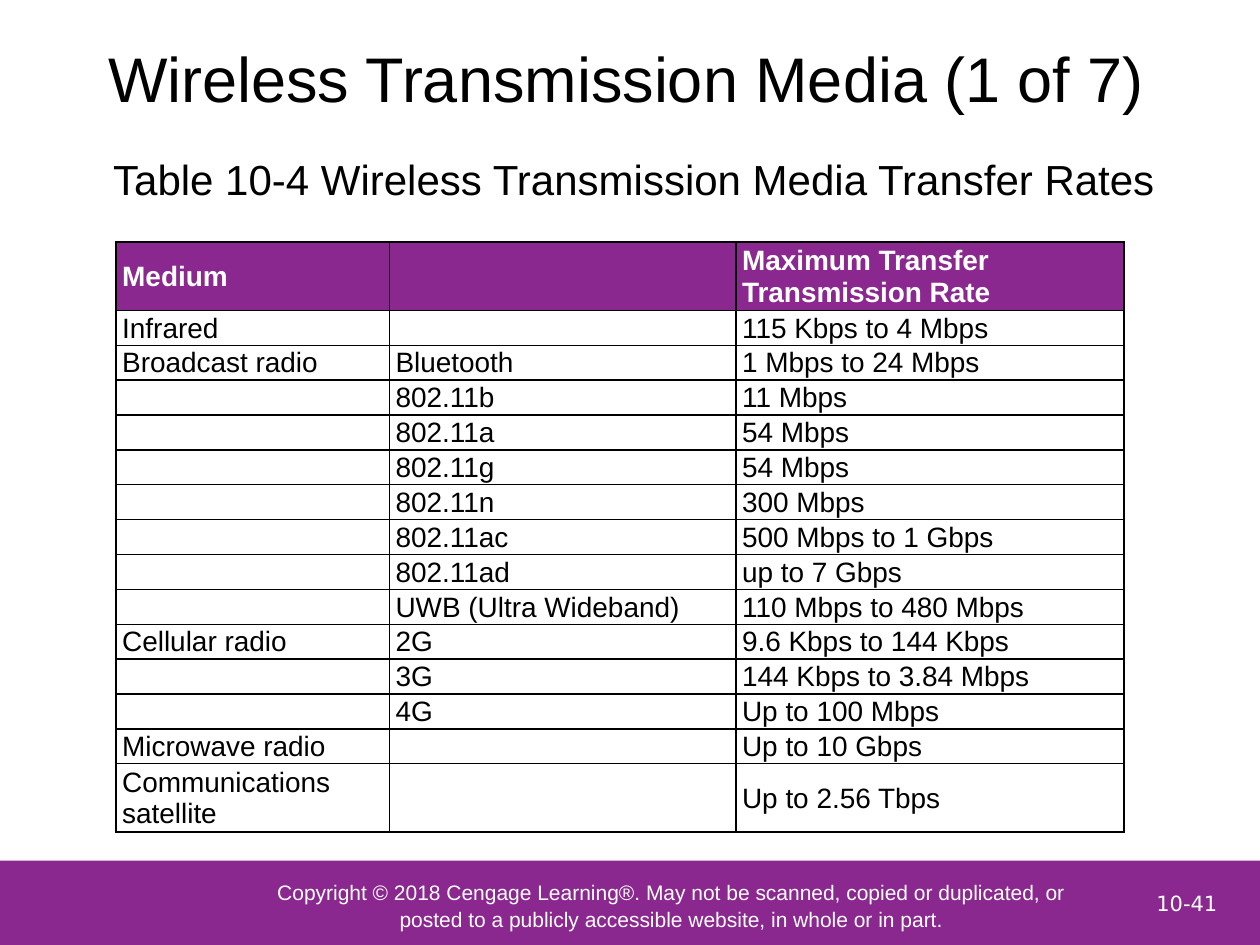
from lxml.etree import SubElement
from pptx import Presentation
from pptx.dml.color import RGBColor
from pptx.enum.shapes import MSO_SHAPE
from pptx.enum.text import MSO_ANCHOR, PP_ALIGN
from pptx.oxml.ns import qn
from pptx.util import Inches, Pt

COLORS = {"purple": "8A288F", "white": "FFFFFF", "black": "000000"}


def set_text(frame, text, size, color, align=PP_ALIGN.LEFT, anchor=MSO_ANCHOR.MIDDLE,
             font="Arial", bold=False):
    """Write one formatted paragraph and return it."""
    frame.word_wrap = True
    frame.vertical_anchor = anchor
    paragraph = frame.paragraphs[0]
    paragraph.alignment = align
    if text:
        run = paragraph.add_run()
        run.text = text
        formats = {"name": font, "size": Pt(size), "bold": bold}
        for name, value in formats.items():
            setattr(run.font, name, value)
        run.font.color.rgb = RGBColor.from_string(COLORS[color])
    else:
        SubElement(paragraph._p, qn("a:endParaRPr"), sz=str(size * 100))
    return paragraph


def style_cell(cell, fill):
    """Fill a cell, tighten its margins and draw black borders around it."""
    margins = {"margin_left": 0.01, "margin_right": 0.01, "margin_top": 0.01, "margin_bottom": 0}
    for name, value in margins.items():
        setattr(cell, name, Inches(value))
    properties = cell._tc.get_or_add_tcPr()
    for side in ("lnL", "lnR", "lnT", "lnB"):
        line = SubElement(properties, qn(f"a:{side}"), w=str(Pt(1)))
        solid = SubElement(line, qn("a:solidFill"))
        SubElement(solid, qn("a:srgbClr"), val=COLORS["black"])
    cell.fill.solid()
    cell.fill.fore_color.rgb = RGBColor.from_string(COLORS[fill])


presentation = Presentation()
presentation.slide_width = Inches(10)
presentation.slide_height = Inches(7.5)
slide = presentation.slides.add_slide(presentation.slide_layouts[5])
slide.background.fill.solid()
slide.background.fill.fore_color.rgb = RGBColor.from_string(COLORS["white"])

# Title and table caption
title = slide.shapes.title
title.left, title.top, title.width, title.height = map(Inches, (0.58, 0.06, 8.78, 1.1))
set_text(title.text_frame, "Wireless Transmission Media (1 of 7)", 36, "black", PP_ALIGN.CENTER)

caption = slide.shapes.add_textbox(*map(Inches, (0.8, 1.17, 8.86, 0.67)))
set_text(caption.text_frame, "Table 10-4 Wireless Transmission Media Transfer Rates",
         24, "black", anchor=MSO_ANCHOR.TOP)

# Footer
footer_boxes = []
for box in ((-0.01, 6.83, 10.01, 0.68), (2.08, 6.89, 6.5, 0.58)):
    shape = slide.shapes.add_shape(MSO_SHAPE.RECTANGLE, *map(Inches, box))
    shape.shadow.inherit = False
    shape.fill.solid()
    shape.fill.fore_color.rgb = RGBColor.from_string(COLORS["purple"])
    shape.line.fill.background()
    footer_boxes.append(shape)

copyright_frame = footer_boxes[1].text_frame
for side in ("left", "right", "top", "bottom"):
    setattr(copyright_frame, f"margin_{side}", 0)
copyright_line = set_text(
    copyright_frame,
    "Copyright © 2018 Cengage Learning®. May not be scanned, copied or duplicated, or "
    "posted to a publicly accessible website, in whole or in part.",
    12, "white", PP_ALIGN.CENTER)
copyright_line.line_spacing = 1.07

page_number = slide.shapes.add_textbox(*map(Inches, (8.92, 6.92, 1, 0.5)))
set_text(page_number.text_frame, "10-41", 12, "white", PP_ALIGN.CENTER, font="DejaVu Sans")

# Transfer rate table
rates = [
    ("Medium", "", "Maximum Transfer Transmission Rate"),
    ("Infrared", "", "115 Kbps to 4 Mbps"),
    ("Broadcast radio", "Bluetooth", "1 Mbps to 24 Mbps"),
    ("", "802.11b", "11 Mbps"),
    ("", "802.11a", "54 Mbps"),
    ("", "802.11g", "54 Mbps"),
    ("", "802.11n", "300 Mbps"),
    ("", "802.11ac", "500 Mbps to 1 Gbps"),
    ("", "802.11ad", "up to 7 Gbps"),
    ("", "UWB (Ultra Wideband)", "110 Mbps to 480 Mbps"),
    ("Cellular radio", "2G", "9.6 Kbps to 144 Kbps"),
    ("", "3G", "144 Kbps to 3.84 Mbps"),
    ("", "4G", "Up to 100 Mbps"),
    ("Microwave radio", "", "Up to 10 Gbps"),
    ("Communications satellite", "", "Up to 2.56 Tbps"),
]
table = slide.shapes.add_table(
    len(rates), 3, *map(Inches, (0.92, 1.92, 8, 4.37))).table
for column, width in zip(table.columns, (2.17, 2.75, 3.08)):
    column.width = Inches(width)

two_line_rows = (0, len(rates) - 1)
for row_index, values in enumerate(rates):
    header = row_index == 0
    table.rows[row_index].height = Inches(0.51 if row_index in two_line_rows else 0.25)
    for column_index, text in enumerate(values):
        cell = table.cell(row_index, column_index)
        style_cell(cell, "purple" if header else "white")
        paragraph = set_text(cell.text_frame, text, 16, "white" if header else "black", bold=header)
        paragraph._p.get_or_add_pPr().set("marL", str(Inches(0.04)))
        cell.vertical_anchor = MSO_ANCHOR.MIDDLE

presentation.save("out.pptx")
